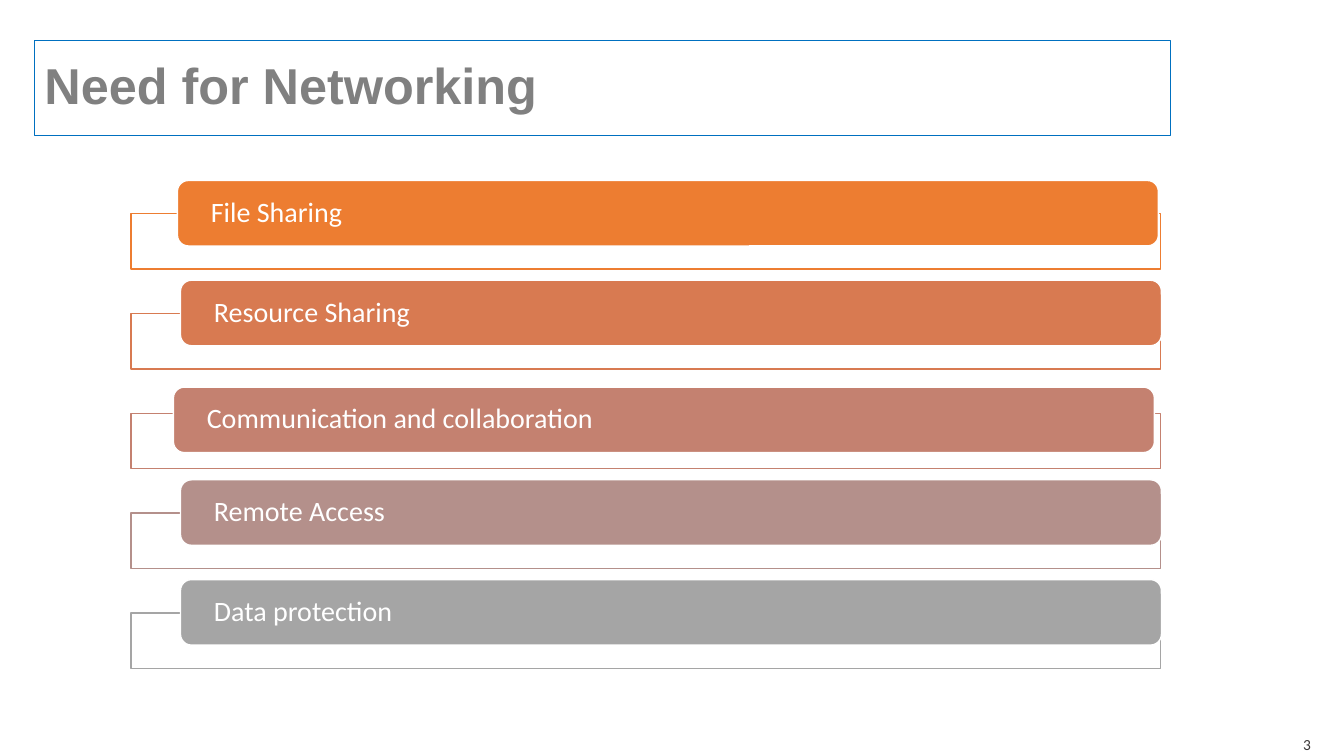
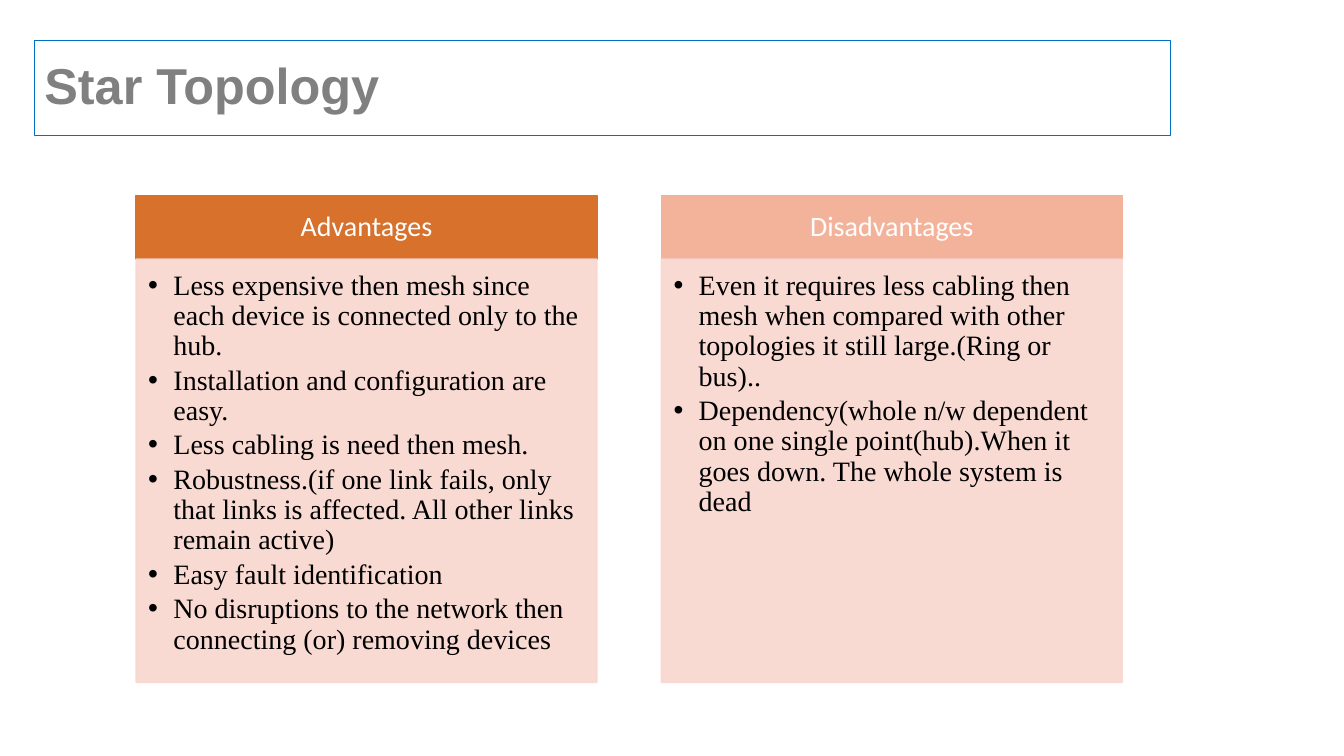
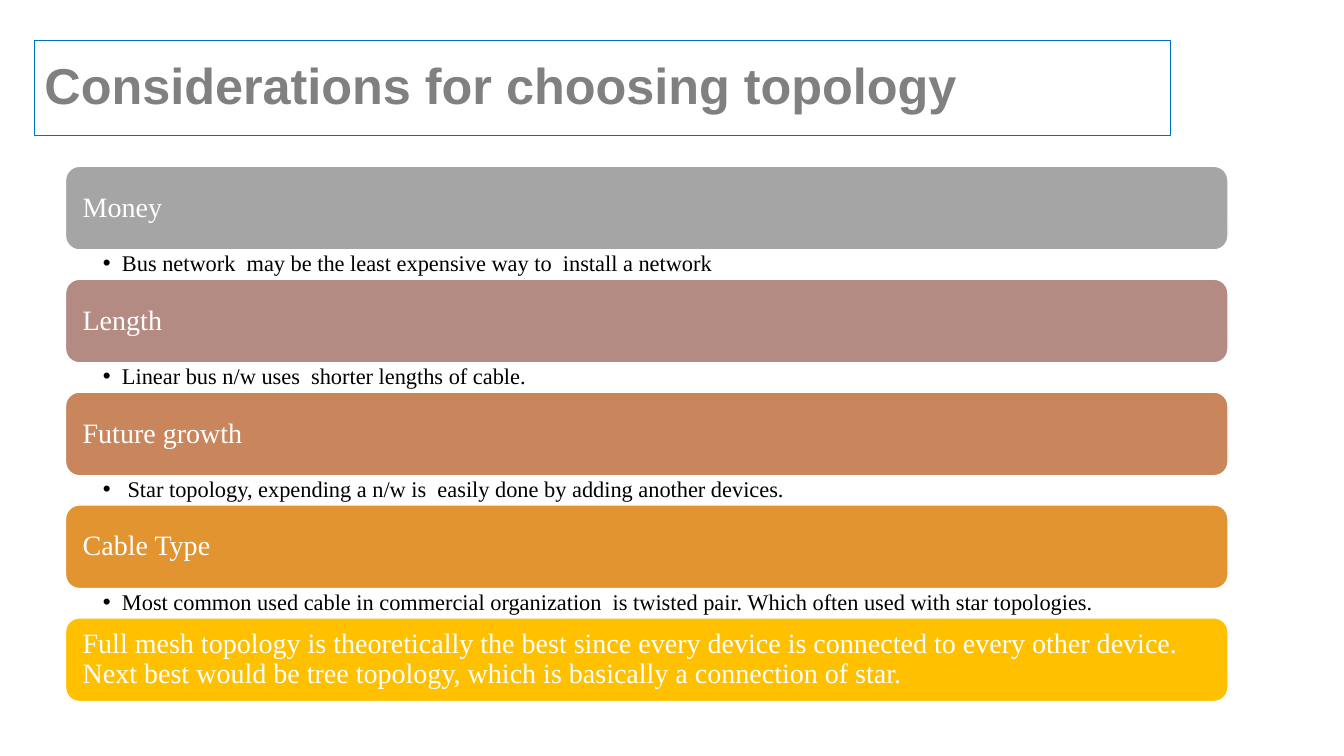
from lxml import etree
from pptx import Presentation
from pptx import util as u
from pptx.dml.color import RGBColor
from pptx.enum import shapes, text
from pptx.oxml.ns import qn

WHITE, BLACK = "FFFFFF", "000000"
MIDDLE, TOP = text.MSO_ANCHOR.MIDDLE, text.MSO_ANCHOR.TOP
LEFT, CENTER, RIGHT = text.PP_ALIGN.LEFT, text.PP_ALIGN.CENTER, text.PP_ALIGN.RIGHT
RECT = shapes.MSO_SHAPE.RECTANGLE
ROUNDED = shapes.MSO_SHAPE.ROUNDED_RECTANGLE
TITLE_ONLY, COMPARISON = 5, 4
SANS, SERIF = "Calibri", "Times New Roman"


def rgb(value):
    return RGBColor.from_string(value)


class Deck:
    def __init__(self):
        self.prs = Presentation()
        self.prs.slide_width = u.Inches(13.33)
        self.prs.slide_height = u.Inches(7.5)
        self.slide = None

    def add_slide(self, heading, layout=TITLE_ONLY):
        self.slide = self.prs.slides.add_slide(self.prs.slide_layouts[layout])
        title = self.slide.shapes.title
        self.place(title, (0.34, 0.4, 11.27, 0.94))
        self.paint(title, None, "0070C0", 0.75)
        self.set_text(title, [heading], 36, "Arial", "808080", bold=True)

    def place(self, shape, box):
        shape.left, shape.top, shape.width, shape.height = map(u.Inches, box)

    def paint(self, shape, fill, line, weight=1, opacity=100):
        if fill:
            shape.fill.solid()
            shape.fill.fore_color.rgb = rgb(fill)
        shape.line.color.rgb = rgb(line)
        shape.line.width = u.Pt(weight)
        if opacity < 100:
            for color in shape._element.spPr.iter(qn("a:srgbClr")):
                etree.SubElement(color, qn("a:alpha"), val=str(opacity * 1000))

    def set_text(self, shape, lines, size, font, color, align=LEFT, anchor=MIDDLE,
                 insets=(0.1, 0.05, 0.1, 0.05), bold=False, hang=0, after=0):
        frame = shape.text_frame
        frame.text = "\n".join(lines)
        frame.word_wrap = True
        frame.auto_size = text.MSO_AUTO_SIZE.NONE
        frame.vertical_anchor = anchor
        (frame.margin_left, frame.margin_top,
         frame.margin_right, frame.margin_bottom) = map(u.Inches, insets)
        for paragraph in frame.paragraphs:
            if hang:
                self.bullet(paragraph, hang)
            paragraph.alignment = align
            paragraph.line_spacing = 0.9
            paragraph.space_before = u.Pt(0)
            paragraph.space_after = u.Pt(after)
            paragraph.font.size = u.Pt(size)
            paragraph.font.name = font
            paragraph.font.bold = bold
            paragraph.font.color.rgb = rgb(color)

    def bullet(self, paragraph, hang):
        props = paragraph._p.get_or_add_pPr()
        props.set("marL", str(u.Inches(hang)))
        props.set("indent", str(-u.Inches(hang)))
        etree.SubElement(props, qn("a:buFont"), typeface="Arial")
        etree.SubElement(props, qn("a:buChar"), char="•")

    def block(self, kind, box, fill, line):
        shape = self.slide.shapes.add_shape(kind, *map(u.Inches, box))
        shape.shadow.inherit = False
        self.paint(shape, fill, line)
        return shape

    def bar(self, box, fill, label, font, inset):
        bar = self.block(ROUNDED, box, fill, WHITE)
        self.set_text(bar, [label], 20, font, WHITE, insets=(inset, 0.05, inset, 0.05))

    def note(self, box, line, size, font, color, **style):
        note = self.slide.shapes.add_textbox(*map(u.Inches, box))
        self.set_text(note, [line], size, font, color, **style)

    def panel(self, index, box, fill, lines, opacity=100, **style):
        panel = self.slide.placeholders[index]
        self.place(panel, box)
        self.paint(panel, fill, fill, opacity=opacity)
        self.set_text(panel, lines, 20, **style)


def networking_slide(deck):
    deck.add_slide("Need for Networking")
    deck.note((11.95, 7.3, 1.15, 0.2), "3", 11, SANS, "3B3838", align=RIGHT)
    needs = [
        ("File Sharing", "ED7D31", 1.76, 0),
        ("Resource Sharing", "D87A51", 1.79, 0),
        ("Communication and collaboration", "C48170", 1.72, 0.07),
        ("Remote Access", "B4908B", 1.79, 0),
        ("Data protection", "A5A5A5", 1.79, 0),
    ]
    for row, (need, color, left, drop) in enumerate(needs):
        top = 2.12 + 0.99 * row
        deck.block(RECT, (1.3, top, 10.21, 0.55), WHITE, color)
        deck.bar((left, top - 0.33 + drop, 9.73, 0.65), color, need, SANS, 0.3)


def star_slide(deck):
    deck.add_slide("Star Topology", COMPARISON)
    sides = [
        ("Advantages", "D7712C", [
            "Less expensive then mesh since each device is connected only to the hub.",
            "Installation and configuration are easy.",
            "Less cabling is need then mesh.",
            "Robustness.(if one link fails, only that links is affected. "
            "All other links remain active)",
            "Easy fault identification",
            "No disruptions to the network then connecting (or) removing devices",
        ]),
        ("Disadvantages", "F3B39B", [
            "Even it requires less cabling then mesh when compared with other "
            "topologies it still large.(Ring or bus)..",
            "Dependency(whole n/w dependent on one single point(hub).When it goes "
            "down. The whole system is dead",
        ]),
    ]
    for column, (side, color, points) in enumerate(sides):
        left = 1.35 + 5.21 * column
        deck.panel(1 + 2 * column, (left, 1.94, 4.57, 0.63), color, [side],
                   font=SANS, color=WHITE, align=CENTER)
        deck.panel(2 + 2 * column, (left, 2.57, 4.57, 4.2), "F8D7CE", points,
                   opacity=90, font=SERIF, color=BLACK, anchor=TOP,
                   insets=(0.12, 0.12, 0.16, 0.17), hang=0.25, after=3)


def considerations_slide(deck):
    deck.add_slide("Considerations for choosing topology")
    considerations = [
        ("Money", "A5A5A5",
         "Bus network  may be the least expensive way to  install a network"),
        ("Length", "B48B83", "Linear bus n/w uses  shorter lengths of cable."),
        ("Future growth", "C9855C",
         " Star topology, expending a n/w is  easily done by adding another devices."),
        ("Cable Type", "E19430",
         "Most common used cable in commercial organization  is twisted pair. "
         "Which often used with star topologies."),
        ("Full mesh topology is theoretically the best since every device is connected "
         "to every other device. Next best would be tree topology, which is basically "
         "a connection of star.", "FFC000", None),
    ]
    for row, (consideration, color, advice) in enumerate(considerations):
        top = 1.65 + 1.12 * row
        deck.bar((0.65, top, 11.53, 0.83), color, consideration, SERIF, 0.13)
        if advice:
            deck.note((0.65, top + 0.83, 11.53, 0.29), advice, 16, SERIF, BLACK,
                      anchor=TOP, insets=(0.37, 0.02, 0.12, 0.02), hang=0.19)


def main():
    deck = Deck()
    networking_slide(deck)
    star_slide(deck)
    considerations_slide(deck)
    deck.prs.save("out.pptx")


if __name__ == "__main__":
    main()
